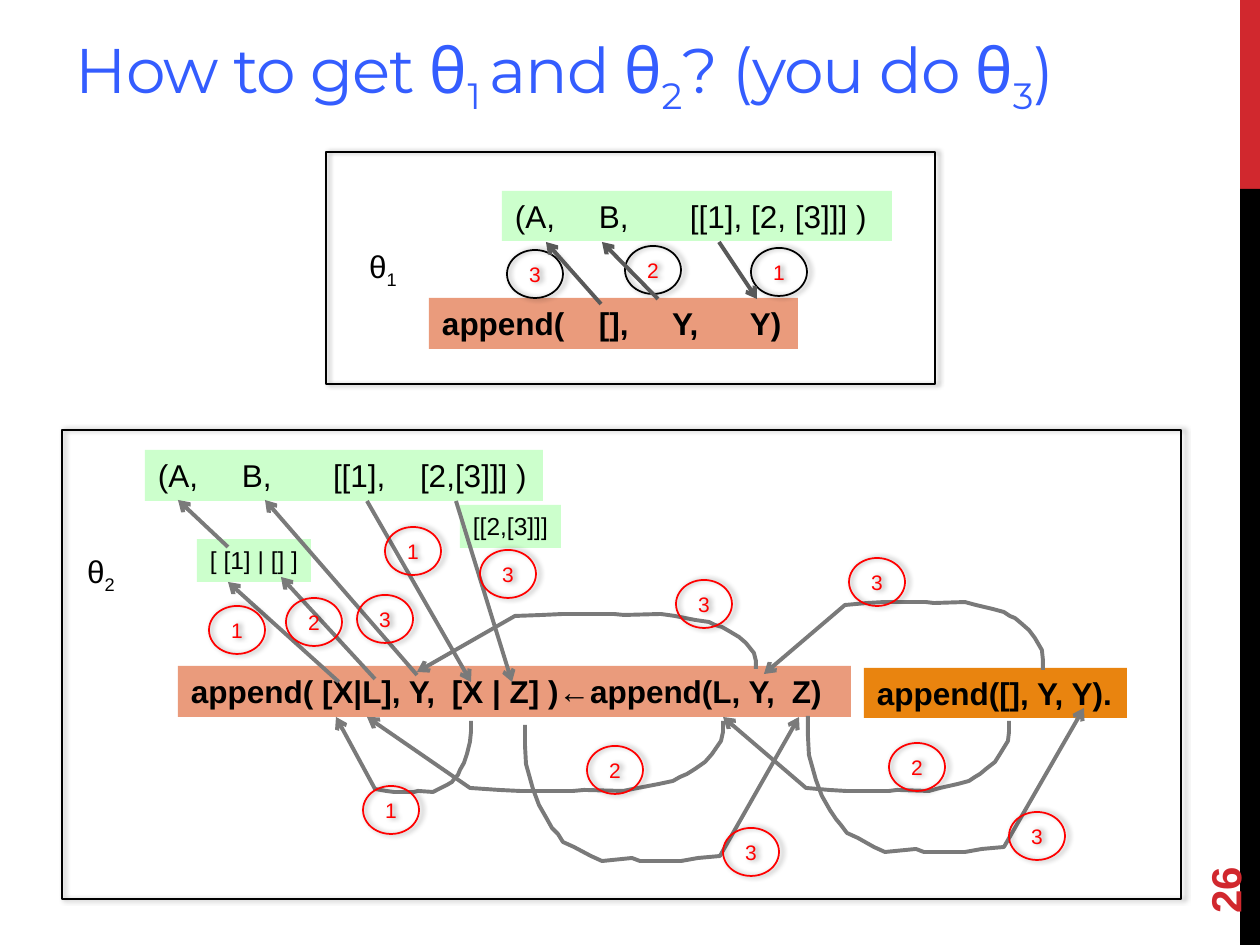
import pptx
import pptx.dml.color
import pptx.enum.shapes
import pptx.enum.text
import pptx.oxml
import pptx.oxml.ns
import pptx.util
from lxml import etree

EMU_PER_PX = 914400 / 126
BLACK, RED, GREEN, SALMON, ORANGE = "000000", "FF0000", "CCFFCC", "EA9B7C", "E9840F"
BLUE, BAR_RED, DARK_GREY, GREY = "345DFF", "D1282E", "595959", "7A7A7A"
RECT = pptx.enum.shapes.MSO_SHAPE.RECTANGLE
OVAL = pptx.enum.shapes.MSO_SHAPE.OVAL
MIDDLE = pptx.enum.text.MSO_ANCHOR.MIDDLE
INSET = 13

# Share of the way along, share of the way to the turn; all loops have this form.
LOOP = [(0, 0.15), (0.005, 0.29), (0.03, 0.47), (0.05, 0.59), (0.08, 0.69),
        (0.1, 0.76), (0.12, 0.8), (0.14, 0.86), (0.18, 0.9), (0.24, 0.96),
        (0.28, 1), (0.39, 0.98), (0.42, 1), (0.57, 1), (0.63, 0.98), (0.71, 0.96)]


def px(length):
    return pptx.util.Emu(round(length * EMU_PER_PX))


def colour(hex_value):
    return pptx.dml.color.RGBColor.from_string(hex_value)


def sub(parent, tag, **attributes):
    return etree.SubElement(parent, pptx.oxml.ns.qn(tag), attributes)


def add_run(paragraph, text, size, hex_value, bold=False, font="Arial", lowered=False):
    run = paragraph.add_run()
    run.text = text
    run.font.size = pptx.util.Pt(size)
    run.font.name = font
    run.font.bold = bold
    run.font.color.rgb = colour(hex_value)
    properties = run._r.get_or_add_rPr()
    if lowered:
        properties.set("baseline", "-25000")
    return properties


def set_frame(frame, inset=INSET, anchor=pptx.enum.text.MSO_ANCHOR.TOP):
    """Fix the frame's wrapping and insets and return its first paragraph."""
    frame.word_wrap = True
    frame.auto_size = pptx.enum.text.MSO_AUTO_SIZE.NONE
    frame.vertical_anchor = anchor
    frame.margin_left, frame.margin_right = px(inset), 0
    frame.paragraphs[0].alignment = pptx.enum.text.PP_ALIGN.LEFT
    return frame.paragraphs[0]


def add_block(slide, kind, box, fill=None, line=None):
    block = slide.shapes.add_shape(kind, *map(px, box))
    block.shadow.inherit = False
    if fill:
        block.fill.solid()
        block.fill.fore_color.rgb = colour(fill)
    else:
        block.fill.background()
    if line:
        block.line.color.rgb = colour(line)
        block.line.width = pptx.util.Pt(1)
    else:
        block.line.fill.background()
    return block


def add_shadow(block):
    effects = block.element.spPr.find(pptx.oxml.ns.qn("a:effectLst"))
    outer = sub(effects, "a:outerShdw", blurRad="39370", dist="22860", dir="0",
                algn="tl", rotWithShape="0")
    sub(sub(outer, "a:srgbClr", val=BLACK), "a:alpha", val="40000")


def add_frame(slide, *box):
    add_shadow(add_block(slide, RECT, box, line=BLACK))


def add_term(slide, box, text, fill, size=18, bold=False, tabs=()):
    """Add a filled logic term whose arguments stand at the given tab stops."""
    block = add_block(slide, RECT, box, fill)
    paragraph = set_frame(block.text_frame)
    if tabs:
        stops = sub(paragraph._p.get_or_add_pPr(), "a:tabLst")
        for stop in tabs:
            sub(stops, "a:tab", pos=str(int(px(stop))), algn="l")
    add_run(paragraph, text, size, BLACK, bold)


def add_step(slide, number, left, top, line=RED):
    step = add_block(slide, OVAL, (left, top, 56, 48), line=line)
    add_shadow(step)
    paragraph = set_frame(step.text_frame, 0, MIDDLE)
    paragraph.alignment = pptx.enum.text.PP_ALIGN.CENTER
    add_run(paragraph, str(number), 12, RED)


def add_theta(slide, index, left, top):
    label = slide.shapes.add_textbox(*map(px, (left, top, 54, 50)))
    paragraph = set_frame(label.text_frame)
    add_run(paragraph, "θ", 18, BLACK)
    add_run(paragraph, index, 18, BLACK, lowered=True)


def style_arrow(arrow, hex_value):
    arrow.line.color.rgb = colour(hex_value)
    arrow.line.width = pptx.util.Pt(2.25)
    outline = arrow.element.spPr.find(pptx.oxml.ns.qn("a:ln"))
    sub(outline, "a:tailEnd", type="arrow")


def add_arrow(slide, ends, hex_value=GREY):
    arrow = slide.shapes.add_connector(
        pptx.enum.shapes.MSO_CONNECTOR.STRAIGHT, *map(px, ends))
    style_arrow(arrow, hex_value)
    sub(arrow.element.spPr, "a:effectLst")


def add_loop(slide, start_x, start_y, turn_y, end_x, end_y):
    """Add an arrow that bends away to turn_y and comes back to its end."""
    builder = slide.shapes.build_freeform(start_x, start_y, scale=EMU_PER_PX)
    bends = [(start_x + along * (end_x - start_x), start_y + away * (turn_y - start_y))
             for along, away in LOOP]
    builder.add_line_segments(bends + [(end_x, end_y)], close=False)
    loop = builder.convert_to_shape()
    loop.shadow.inherit = False
    loop.fill.background()
    style_arrow(loop, GREY)


def add_title(slide):
    title = slide.shapes.title
    title.left, title.top, title.width, title.height = map(px, (63, 23, 1137, 100))
    paragraph = set_frame(title.text_frame, anchor=pptx.enum.text.MSO_ANCHOR.BOTTOM)
    parts = ["How to get θ", "1 ", "and θ", "2", "? (you do θ", "3", ")"]
    for position, part in enumerate(parts):
        properties = add_run(paragraph, part, 36, BLUE, font="Montserrat",
                             lowered=position % 2 == 1)
        properties.set("spc", "-60")


def add_page_number(slide):
    number = slide.shapes.add_textbox(*map(px, (1134, 811, 181, 50)))
    number.rotation = 270
    add_run(set_frame(number.text_frame, anchor=MIDDLE), "26", 24, BAR_RED, bold=True)


def add_first_substitution(slide):
    add_term(slide, (502, 191, 390, 50), "(A,\tB,\t[[1], [2, [3]]] )", GREEN,
             tabs=(84, 175))
    add_theta(slide, "1", 356, 241)
    add_term(slide, (429, 298, 369, 51), "append(\t[],\tY,\tY)", SALMON, bold=True,
             tabs=(157, 230, 308))
    for number, left, top in [(1, 751, 248), (2, 625, 246), (3, 507, 250)]:
        add_step(slide, number, left, top, BLACK)
    for ends in [(719, 242, 757, 299), (658, 299, 602, 242), (601, 304, 546, 242)]:
        add_arrow(slide, ends, DARK_GREY)
    add_frame(slide, 326, 152, 609, 232)


def add_second_substitution(slide):
    add_theta(slide, "2", 74, 546)
    add_term(slide, (460, 505, 101, 43), "[[2,[3]]]", GREEN, 14)
    add_term(slide, (864, 668, 263, 50), "append([], Y, Y).", ORANGE, bold=True)
    add_term(slide, (178, 666, 673, 51), "append( [X|L], Y,\t[X | Z] )←append(L, Y,\tZ)",
             SALMON, bold=True, tabs=(261, 601))
    add_term(slide, (145, 450, 398, 51), "(A,\tB,\t[[1],\t[2,[3]]] )", GREEN,
             tabs=(84, 175, 262))
    add_term(slide, (197, 539, 114, 43), "[ [1] | [] ]", GREEN, 14)
    for ends in [(367, 501, 471, 682), (456, 501, 512, 682), (339, 682, 228, 582),
                 (375, 679, 281, 577), (228, 547, 178, 500), (417, 675, 265, 500)]:
        add_arrow(slide, ends)
    for loop in [(1009, 721, 791, 723, 717), (723, 721, 791, 367, 717),
                 (471, 721, 792, 336, 717), (525, 725, 861, 799, 717),
                 (808, 716, 852, 1084, 708), (1043, 670, 602, 764, 674),
                 (756, 669, 614, 417, 672)]:
        add_loop(slide, *loop)
    for number, left, top in [(1, 385, 527), (3, 480, 550), (1, 209, 606), (2, 286, 598),
                              (2, 889, 743), (2, 587, 746), (1, 363, 786), (3, 1009, 812),
                              (3, 723, 828), (3, 849, 558), (3, 676, 580), (3, 357, 595)]:
        add_step(slide, number, left, top)
    add_frame(slide, 62, 430, 1119, 469)


def main():
    deck = pptx.Presentation()
    deck.slide_width, deck.slide_height = px(1260), px(945)
    slide = deck.slides.add_slide(deck.slide_layouts[5])
    add_block(slide, RECT, (1240, 0, 20, 189), BAR_RED)
    add_block(slide, RECT, (1240, 189, 20, 756), BLACK)
    add_title(slide)
    add_page_number(slide)
    add_first_substitution(slide)
    add_second_substitution(slide)
    deck.save("out.pptx")


if __name__ == "__main__":
    main()
